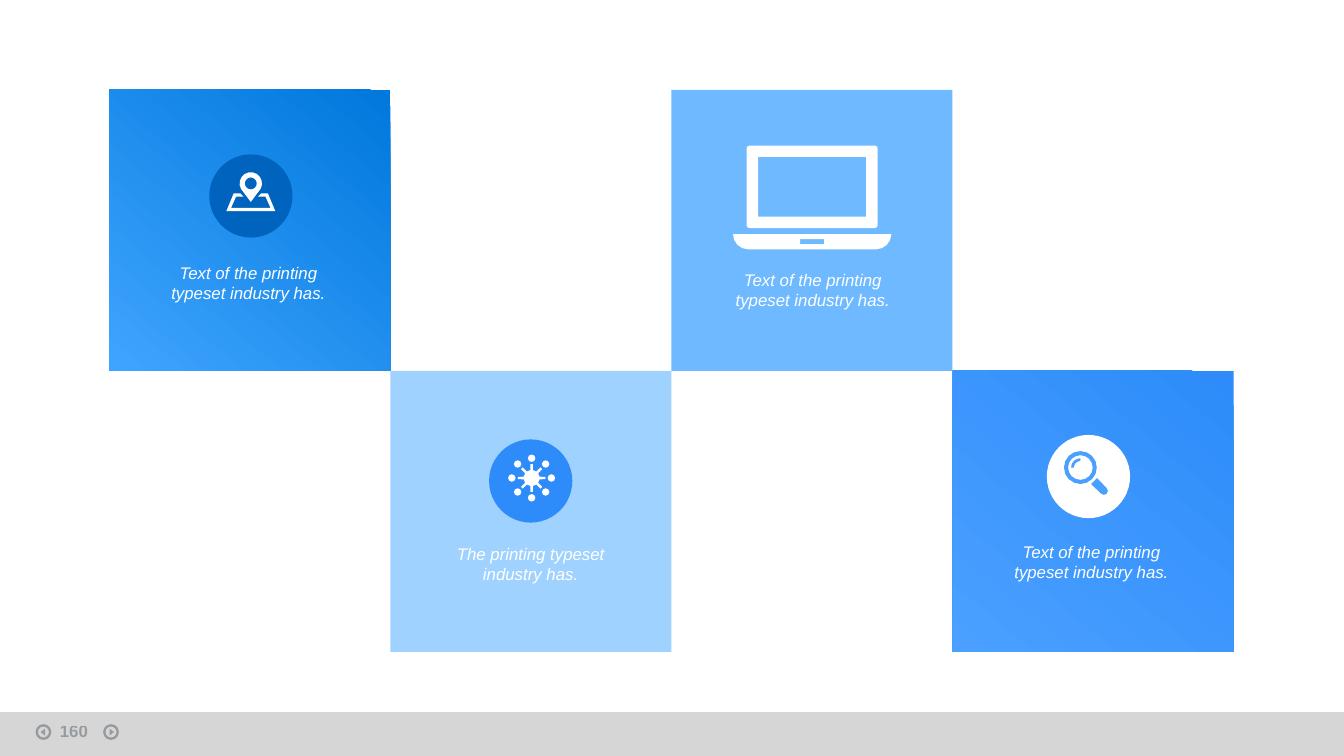
from math import cos, radians, sin

from lxml.etree import SubElement
from pptx import Presentation
from pptx.dml.color import RGBColor
from pptx.enum.shapes import MSO_SHAPE as Preset
from pptx.enum.text import MSO_ANCHOR as Anchor, PP_ALIGN as Align
from pptx.oxml.ns import qn
from pptx.util import Pt

COLORS = {
    "white": "FFFFFF", "bar": "D2D2D2", "ink": "051423",
    "deep": "0078DC", "bright": "3FA4FF", "sky": "6EB9FF", "pale": "A0D2FF",
    "azure": "2D8CFA", "light": "4BA0FF", "navy": "0064BE",
}
RGB = {name: RGBColor.from_string(value) for name, value in COLORS.items()}

presentation = Presentation()
presentation.slide_width, presentation.slide_height = Pt(720), Pt(405)
slide = presentation.slides.add_slide(presentation.slide_layouts[6])
shapes = slide.shapes


def arc(center_x, center_y, radius, start=0, end=360):
    step = 45 if radius < 3 else 22.5
    steps = max(1, round((end - start) / step))
    count = steps if end - start == 360 else steps + 1
    angles = [radians(start + (end - start) * i / steps) for i in range(count)]
    return [(center_x + radius * cos(a), center_y + radius * sin(a)) for a in angles]


def add_icon(center_x, center_y, contours, color):
    placed = [[(Pt(center_x + x), Pt(center_y + y)) for x, y in contour]
              for contour in contours]
    builder = shapes.build_freeform(*placed[0][0])
    for index, contour in enumerate(placed):
        if index:
            builder.move_to(*contour[0])
        builder.add_line_segments(contour[1:], close=True)
    icon = builder.convert_to_shape()
    icon.shadow.inherit = False
    icon.fill.solid()
    icon.fill.fore_color.rgb = RGB[color]
    icon.line.fill.background()


footer = []
bar = shapes.add_shape(Preset.RECTANGLE, 0, Pt(381.5), Pt(720), Pt(23.5))
bar.fill.solid()
bar.fill.fore_color.rgb = RGB["bar"]
bar.line.fill.background()
footer.append((bar, 90))

NAV_Y, RING, ARROW_W, ARROW_H = 392.2, 7.2, 3.7, 2.4
for center_x, shift, rotation in [(23.3, -0.4, 270), (59.5, 0.4, 90)]:
    ring = shapes.add_shape(Preset.OVAL, Pt(center_x - RING / 2),
                            Pt(NAV_Y - RING / 2), Pt(RING), Pt(RING))
    ring.fill.background()
    ring.line.color.rgb = RGB["ink"]
    ring.line.width = Pt(1.25)
    arrow = shapes.add_shape(Preset.ISOSCELES_TRIANGLE,
                             Pt(center_x + shift - ARROW_W / 2),
                             Pt(NAV_Y - ARROW_H / 2), Pt(ARROW_W), Pt(ARROW_H))
    arrow.rotation = rotation
    arrow.fill.solid()
    arrow.fill.fore_color.rgb = RGB["ink"]
    arrow.line.fill.background()
    footer += [(ring, 30), (arrow, 30)]

page_number = shapes.add_textbox(Pt(25), Pt(382.8), Pt(33), Pt(15))
page_number.text_frame.text = "160"
font = page_number.text_frame.paragraphs[0].runs[0].font
for name, value in {"name": "Arial", "size": Pt(9), "bold": True}.items():
    setattr(font, name, value)
font.color.rgb = RGB["ink"]
footer.append((page_number, 30))

for shape, opacity in footer:
    shape.shadow.inherit = False
    for color in shape.element.iter(qn("a:srgbClr")):
        SubElement(color, qn("a:alpha"), val=str(opacity * 1000))

TILE, LEFT, TOP = 150.6, 58.5, 48.1
tiles = [("deep", "bright"), ("pale",), ("sky",), ("azure", "light")]
for column, fills in enumerate(tiles):
    tile = shapes.add_shape(Preset.RECTANGLE, Pt(LEFT + column * TILE),
                            Pt(TOP + column % 2 * TILE), Pt(TILE), Pt(TILE))
    tile.shadow.inherit = False
    tile.line.fill.background()
    if len(fills) == 1:
        tile.fill.solid()
        tile.fill.fore_color.rgb = RGB[fills[0]]
    else:
        tile.fill.gradient()
        tile.fill.gradient_angle = 230
        for stop, color, position in zip(tile.fill.gradient_stops, fills, (0, 1)):
            stop.color.rgb = RGB[color]
            stop.position = position

DISC = 44.6
PIN, NETWORK, SEARCH = (134.4, 105), (284.3, 257.7), (583.1, 255.3)
for (x, y), color in [(PIN, "navy"), (NETWORK, "azure"), (SEARCH, "white")]:
    disc = shapes.add_shape(Preset.OVAL, Pt(x - DISC / 2), Pt(y - DISC / 2),
                            Pt(DISC), Pt(DISC))
    disc.shadow.inherit = False
    disc.fill.solid()
    disc.fill.fore_color.rgb = RGB[color]
    disc.line.fill.background()

map_sheet = [(-9.2, -1.3), (-5.6, -1.3), (-3.8, 0.4), (-7.9, 0.4), (-10.6, 6.4),
             (10.6, 6.4), (7.9, 0.4), (3.8, 0.4), (5.6, -1.3), (9.2, -1.3),
             (13.1, 8.1), (-13.1, 8.1)]
marker = arc(0, -6.7, 6, 150, 390) + [(0, 3.2)]
add_icon(*PIN, [map_sheet, marker, arc(0, -6.7, 3.2)], "white")

hub_x, hub_y = 0.5, -1.6
burst, dots = [], []
for angle in range(0, 360, 45):
    burst += arc(hub_x, hub_y, 7.4, angle - 5, angle + 5)
    burst += arc(hub_x, hub_y, 4.3, angle + 9, angle + 36)
    dots.append(arc(hub_x + 10.6 * cos(radians(angle)),
                    hub_y + 10.6 * sin(radians(angle)), 2))
add_icon(*NETWORK, [burst] + dots, "white")

lens = (-4.3, -4.8)
glint = arc(*lens, 5, 180, 270) + arc(*lens, 3.5, 180, 270)[::-1]
handle = [(4.6, 0.8)] + arc(8.3, 7.7, 2.1, -45, 135) + [(1.4, 4)]
add_icon(*SEARCH, [arc(*lens, 8.8), arc(*lens, 6.6), glint, handle], "light")

lid = (arc(33.6, 15.1, 1.5, 0, 90) + arc(-33.6, 15.1, 1.5, 90, 180)
       + arc(-33.6, -26.1, 1.5, 180, 270) + arc(33.6, -26.1, 1.5, 270, 360))
screen = [(-28.9, -21.5), (28.9, -21.5), (28.9, 10.4), (-28.9, 10.4)]
base = arc(34.2, 19.8, 8.2, 0, 90) + arc(-34.2, 19.8, 8.2, 90, 180)
notch = [(-6.4, 22.5), (6.4, 22.5), (6.4, 25.2), (-6.4, 25.2)]
add_icon(435.1, 105.6, [lid, screen, base, notch], "white")

FRAME_FORMAT = {"word_wrap": True, "vertical_anchor": Anchor.MIDDLE,
                "margin_left": 0, "margin_right": 0,
                "margin_top": 0, "margin_bottom": 0}
CAPTION_FORMAT = {"name": "Arial", "size": Pt(9), "italic": True}
captions = [
    (91.6, 134.9, "Text of the printing typeset industry has."),
    (242.8, 285.6, "The printing typeset industry has."),
    (393.9, 138.8, "Text of the printing typeset industry has."),
    (543.2, 284.6, "Text of the printing typeset industry has."),
]
for left, top, text in captions:
    caption = shapes.add_textbox(Pt(left), Pt(top), Pt(83), Pt(33))
    frame = caption.text_frame
    for name, value in FRAME_FORMAT.items():
        setattr(frame, name, value)
    paragraph = frame.paragraphs[0]
    paragraph.text = text
    paragraph.alignment = Align.CENTER
    font = paragraph.runs[0].font
    for name, value in CAPTION_FORMAT.items():
        setattr(font, name, value)
    font.color.rgb = RGB["white"]

presentation.save("out.pptx")
